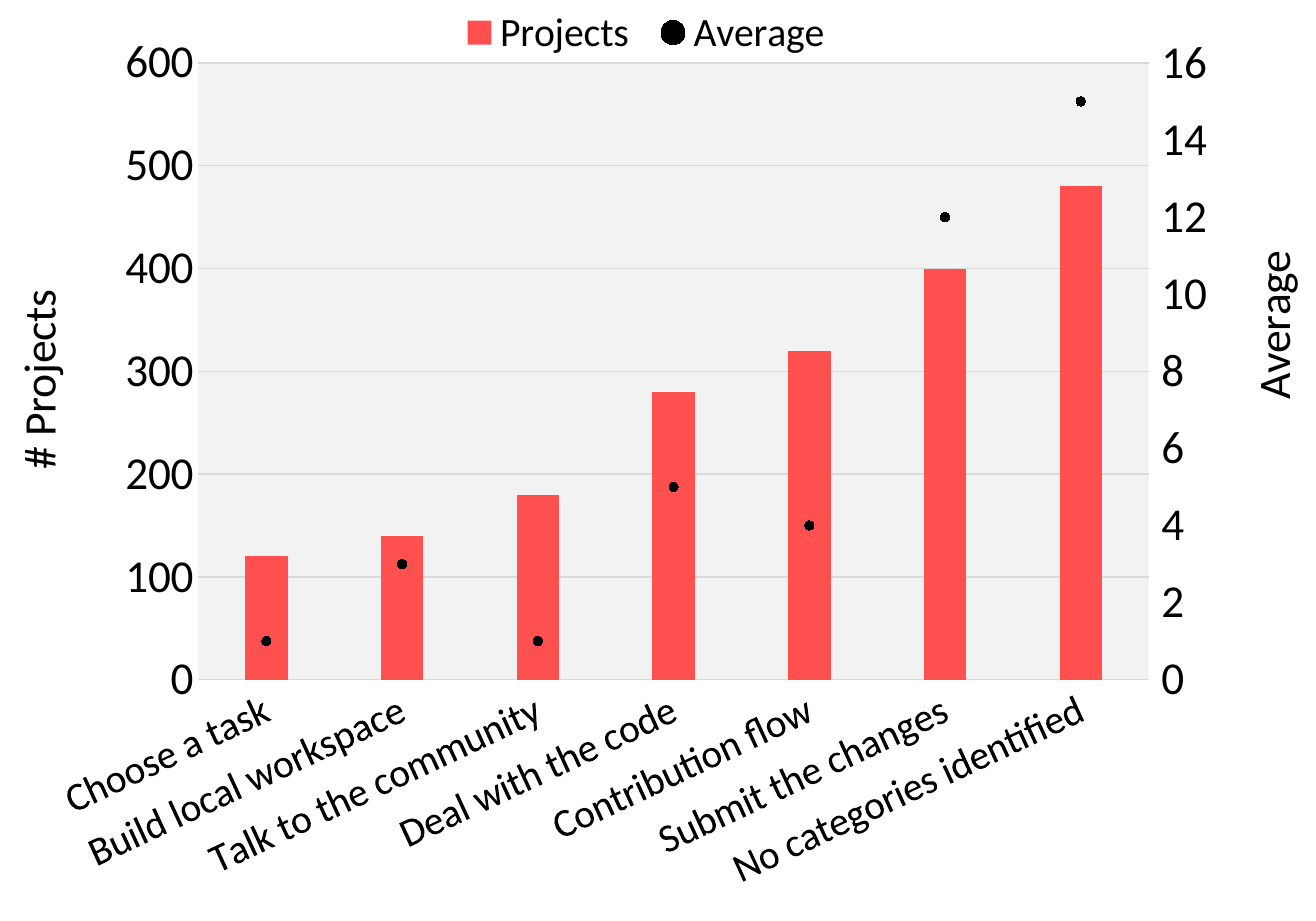
"""Build a slide with project counts as columns and averages as markers."""
from copy import deepcopy

from pptx import Presentation
from pptx.chart.axis import ValueAxis
from pptx.chart.data import CategoryChartData
from pptx.dml.color import RGBColor
from pptx.enum.chart import XL_CHART_TYPE, XL_LEGEND_POSITION, XL_MARKER_STYLE, XL_TICK_MARK
from pptx.oxml import parse_xml
from pptx.oxml.ns import nsdecls, qn
from pptx.util import Inches, Pt

COLUMNS = XL_CHART_TYPE.COLUMN_CLUSTERED
LEGEND_TOP = XL_LEGEND_POSITION.TOP
CIRCLE = XL_MARKER_STYLE.CIRCLE
NO_TICK, TICK_OUT = XL_TICK_MARK.NONE, XL_TICK_MARK.OUTSIDE

EMU_PER_PIXEL = 914400 / 131.6
CHART_SIZE = (1316, 918)
TASKS = {
    "Choose a task": (120, 1),
    "Build local workspace": (140, 3),
    "Talk to the community": (180, 1),
    "Deal with the code": (280, 5),
    "Contribution flow": (320, 4),
    "Submit the changes": (400, 12),
    "No categories identified": (480, 15),
}


def pixels(length):
    return round(length * EMU_PER_PIXEL)


def color(hex_string):
    return RGBColor.from_string(hex_string)


def paint(fill, hex_string):
    fill.solid()
    fill.fore_color.rgb = color(hex_string)


def place(element, index, left, top, width=None, height=None, inner=False):
    for layout in element.findall(qn("c:layout")):
        element.remove(layout)
    parts = [("layoutTarget", "inner")] if inner else []
    parts += [("xMode", "edge"), ("yMode", "edge"),
              ("x", left / CHART_SIZE[0]), ("y", top / CHART_SIZE[1])]
    if width:
        parts += [("w", width / CHART_SIZE[0]), ("h", height / CHART_SIZE[1])]
    inside = "".join(f'<c:{name} val="{value}"/>' for name, value in parts)
    element.insert(index, parse_xml(
        f'<c:layout {nsdecls("c")}><c:manualLayout>{inside}</c:manualLayout></c:layout>'))


def rotate(element, degrees):
    body = next(element.iter(qn("a:bodyPr")))
    body.set("rot", str(degrees * 60000))
    body.set("vert", "horz")


class ChartSlide:
    """Hold the chart style and the current slide."""

    font_name = "Calibri"
    text = "000000"
    grid = "D9D9D9"
    background = "F2F2F2"
    bar = "FF5050"
    large, small = 25, 22

    def __init__(self, presentation):
        self.slide = presentation.slides.add_slide(presentation.slide_layouts[6])

    def style_font(self, font, size):
        font.name = self.font_name
        font.size = Pt(size)
        font.bold = False
        font.color.rgb = color(self.text)

    def style_line(self, line):
        line.color.rgb = color(self.grid)
        line.width = Pt(0.75)

    def column_chart(self, tasks, names):
        data = CategoryChartData(number_format="0")
        data.categories = list(tasks)
        for name, values in zip(names, zip(*tasks.values())):
            data.add_series(name, values)
        frame = self.slide.shapes.add_chart(COLUMNS, 0, 0, *map(pixels, CHART_SIZE), data)
        chart = frame.chart
        chart.has_title = False
        self.style_font(chart.font, self.large)
        plot = chart.plots[0]
        plot.gap_width, plot.overlap = 219, -27
        plot.vary_by_categories = False
        paint(plot.series[0].format.fill, self.bar)
        return chart

    def plot_area(self, chart, left, top, width, height):
        area = chart.plots[0]._element.getparent()
        place(area, 0, left, top, width, height, inner=True)
        area.append(parse_xml(
            f'<c:spPr {nsdecls("c", "a")}><a:solidFill><a:srgbClr val="{self.background}"/>'
            '</a:solidFill><a:ln><a:noFill/></a:ln></c:spPr>'))

    def move_to_right_axis(self, chart):
        bars = chart.plots[0]._element
        series = bars.findall(qn("c:ser"))[1]
        for flag in series.findall(qn("c:invertIfNegative")):
            series.remove(flag)
        lines = parse_xml(
            f'<c:lineChart {nsdecls("c")}><c:grouping val="standard"/><c:varyColors val="0"/>'
            '<c:marker val="1"/><c:axId val="5001"/><c:axId val="5002"/></c:lineChart>')
        lines.insert(2, series)
        bars.addnext(lines)

        left = chart.value_axis._element
        right, hidden = deepcopy(left), deepcopy(chart.category_axis._element)
        for axis, own, other in ((right, "5002", "5001"), (hidden, "5001", "5002")):
            axis.find(qn("c:axId")).set("val", own)
            axis.find(qn("c:crossAx")).set("val", other)
        right.find(qn("c:axPos")).set("val", "r")
        right.find(qn("c:crosses")).set("val", "max")
        left.addnext(right)
        right.addnext(hidden)
        hidden.find(qn("c:delete")).set("val", "1")
        return ValueAxis(right)

    def markers(self, series):
        series.smooth = True
        series.format.line.fill.background()
        series.marker.style, series.marker.size = CIRCLE, 5
        paint(series.marker.format.fill, self.text)
        paint(series.marker.format.line.fill, self.text)

    def category_axis(self, axis):
        axis.major_tick_mark = axis.minor_tick_mark = NO_TICK
        self.style_font(axis.tick_labels.font, self.small)
        self.style_line(axis.format.line)
        rotate(axis._element.find(qn("c:txPr")), -25)

    def value_axis(self, axis, title, left, top, maximum, step, tick, has_grid):
        axis.minimum_scale, axis.maximum_scale, axis.major_unit = 0, maximum, step
        axis.major_tick_mark, axis.minor_tick_mark = tick, NO_TICK
        axis.has_major_gridlines = has_grid
        if has_grid:
            self.style_line(axis.major_gridlines.format.line)
        axis.format.line.fill.background()
        self.style_font(axis.tick_labels.font, self.large)
        axis.tick_labels.number_format = "0"
        axis.tick_labels.number_format_is_linked = False
        frame = axis.axis_title.text_frame
        frame.text = title
        self.style_font(frame.paragraphs[0].runs[0].font, self.large)
        element = axis.axis_title._element
        rotate(element, -90)
        place(element, 1, left, top)

    def legend(self, chart, left, top, width, height):
        chart.has_legend = True
        chart.legend.position = LEGEND_TOP
        chart.legend.include_in_layout = False
        self.style_font(chart.legend.font, self.small)
        place(chart.legend._element, 1, left, top, width, height)


presentation = Presentation()
presentation.slide_width, presentation.slide_height = Inches(10), Inches(7)
page = ChartSlide(presentation)
chart = page.column_chart(TASKS, ("Projects", "Average"))
left_axis = chart.value_axis
right_axis = page.move_to_right_axis(chart)
page.plot_area(chart, 201, 63, 962, 617)
page.markers(chart.plots[1].series[0])
page.category_axis(chart.category_axis)
page.value_axis(left_axis, "# Projects", 0, 280, 600, 100, NO_TICK, True)
page.value_axis(right_axis, "Average", 1250, 241, 16, 2, TICK_OUT, False)
page.legend(chart, 454, 8, 400, 45)
presentation.save("out.pptx")
